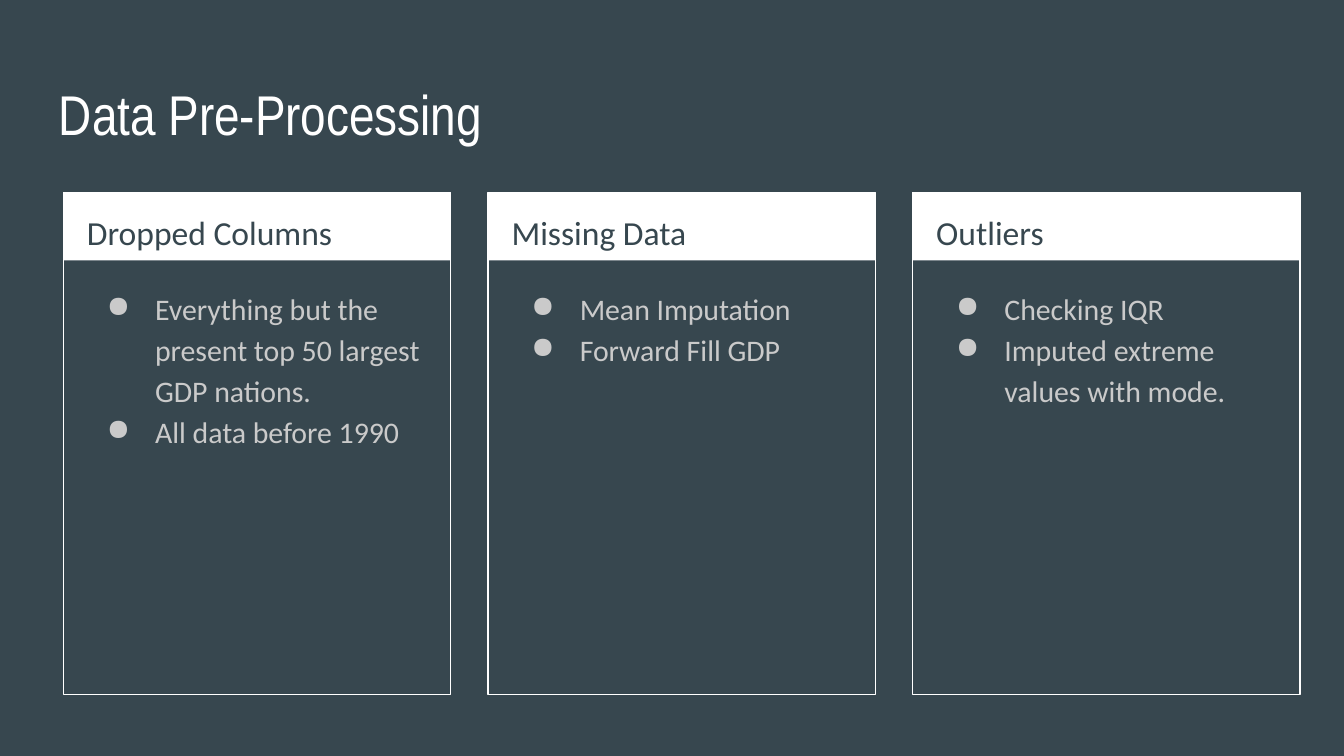
import pptx
import pptx.dml.color
import pptx.enum.shapes
import pptx.enum.text
import pptx.oxml
import pptx.oxml.ns
import pptx.util

Pt = pptx.util.Pt

SLATE, WHITE, GREY = "37474F", "FFFFFF", "CACACA"
CARD_LEFT, CARD_TOP, CARD_PITCH = 34, 103, 227.5
CARD_WIDTH, CARD_HEIGHT, HEADER_HEIGHT = 207.5, 269, 36.5

CARDS = [
    ("Dropped Columns", ["Everything but the present top 50 largest GDP nations.",
                         "All data before 1990"]),
    ("Missing Data", ["Mean Imputation", "Forward Fill GDP"]),
    ("Outliers", ["Checking IQR", "Imputed extreme values with mode."]),
]


def rgb(value):
    return pptx.dml.color.RGBColor.from_string(value)


def add_rect(s, left, top, width, height, fill=None, line=None):
    sp = s.shapes.add_shape(pptx.enum.shapes.MSO_SHAPE.RECTANGLE,
                            Pt(left), Pt(top), Pt(width), Pt(height))
    sp.shadow.inherit = False
    if fill:
        sp.fill.solid()
        sp.fill.fore_color.rgb = rgb(fill)
    else:
        sp.fill.background()
    if line:
        sp.line.color.rgb = rgb(line)
        sp.line.width = Pt(0.75)
    else:
        sp.line.fill.background()


def add_bullet(p, color):
    """Give the paragraph a hanging round bullet in the given colour."""
    ns = pptx.oxml.ns.nsdecls("a")
    pPr = p._p.get_or_add_pPr()
    pPr.set("marL", str(Pt(36)))
    pPr.set("indent", str(-Pt(26)))
    pPr.append(pptx.oxml.parse_xml(
        f'<a:buClr {ns}><a:srgbClr val="{color}"/></a:buClr>'))
    pPr.append(pptx.oxml.parse_xml(f'<a:buChar {ns} char="●"/>'))


def add_text(s, left, top, width, height, lines, size, color,
             font="Calibri", spacing=1.15, bullets=False):
    tf = s.shapes.add_textbox(Pt(left), Pt(top), Pt(width), Pt(height)).text_frame
    tf.word_wrap = True
    tf.vertical_anchor = pptx.enum.text.MSO_ANCHOR.TOP
    tf.margin_left = tf.margin_right = tf.margin_top = tf.margin_bottom = Pt(7.2)
    for i, line in enumerate(lines):
        p = tf.add_paragraph() if i else tf.paragraphs[0]
        p.line_spacing = spacing
        if bullets:
            add_bullet(p, color)
        r = p.add_run()
        r.text = line
        r.font.size = Pt(size)
        r.font.name = font
        r.font.color.rgb = rgb(color)


def add_card(s, left, heading, points):
    add_rect(s, left, CARD_TOP, CARD_WIDTH, HEADER_HEIGHT, fill=WHITE)
    add_rect(s, left, CARD_TOP, CARD_WIDTH, CARD_HEIGHT, line=WHITE)
    add_text(s, left + 5.5, CARD_TOP, 196.5, 36, [heading], 18, SLATE)
    add_text(s, left + 6, CARD_TOP + 42.5, 195, 220, points, 16, GREY, bullets=True)


def main():
    prs = pptx.Presentation()
    prs.slide_width, prs.slide_height = Pt(720), Pt(405)
    s = prs.slides.add_slide(prs.slide_layouts[6])
    s.background.fill.solid()
    s.background.fill.fore_color.rgb = rgb(SLATE)
    add_text(s, 24.5, 35.5, 671, 45, ["Data Pre-Processing"], 30, WHITE,
             font="Arial Narrow", spacing=1)
    for i, (heading, points) in enumerate(CARDS):
        add_card(s, CARD_LEFT + i * CARD_PITCH, heading, points)
    prs.save("out.pptx")


if __name__ == "__main__":
    main()
